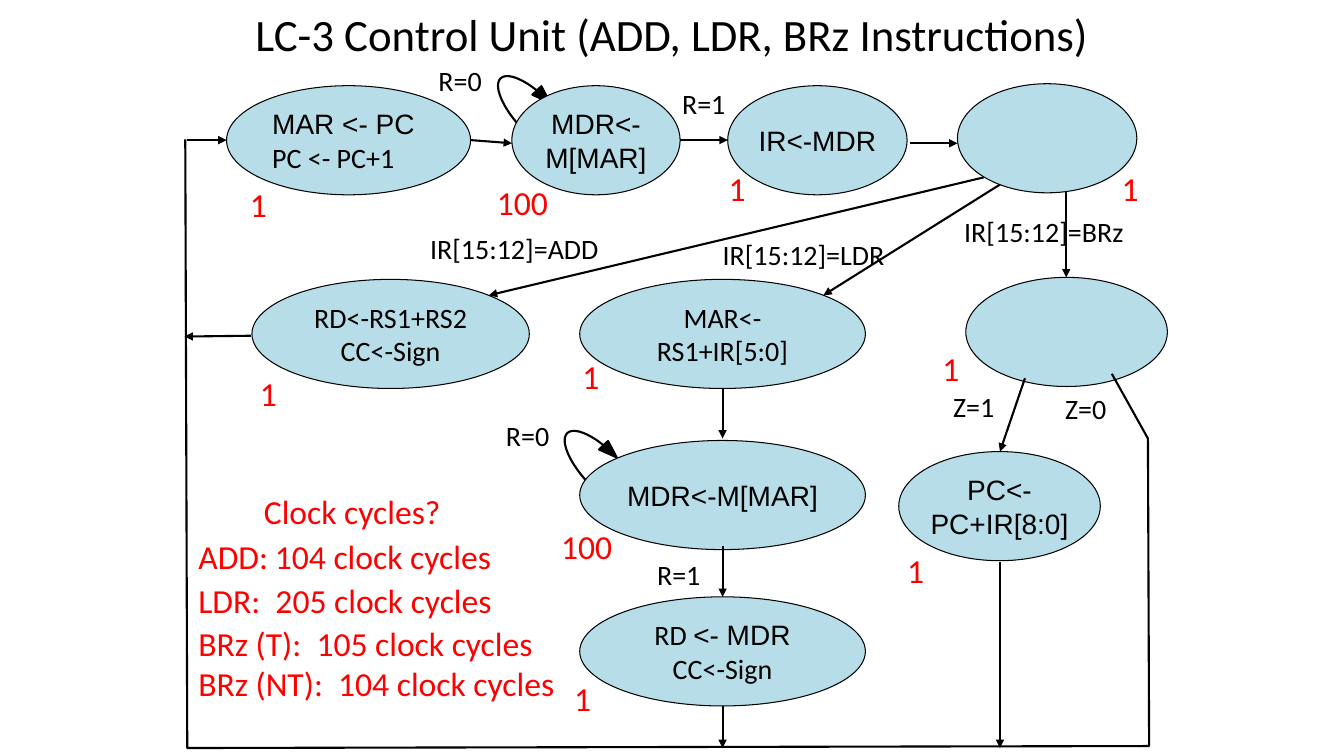
from lxml import etree
from pptx import Presentation
from pptx.dml.color import RGBColor
from pptx.enum.shapes import MSO_CONNECTOR, MSO_SHAPE
from pptx.enum.text import MSO_ANCHOR, MSO_AUTO_SIZE, PP_ALIGN
from pptx.oxml.ns import qn
from pptx.util import Cm, Pt

ELLIPSE, LOOP = MSO_SHAPE.OVAL, MSO_SHAPE.CURVED_LEFT_ARROW
STRAIGHT = MSO_CONNECTOR.STRAIGHT
TOP, MIDDLE = MSO_ANCHOR.TOP, MSO_ANCHOR.MIDDLE
LEFT, CENTER = PP_ALIGN.LEFT, PP_ALIGN.CENTER
GROW = MSO_AUTO_SIZE.SHAPE_TO_FIT_TEXT
SANS, HUMANIST = "Arial", "Calibri"
BLACK, RED, STATE_BLUE = "000000", "FF0000", "B7DEE8"

TITLE = "LC-3 Control Unit (ADD, LDR, BRz Instructions)"
STATE_HEIGHT = 2.75
LDR_LEFT, LDR_WIDTH = 14.61, 7.2
LDR_AXIS = LDR_LEFT + LDR_WIDTH / 2
TAKEN_AXIS = 25.2
RETURN_Y = 18.85

FETCH = (5.71, 2.16, 6.15, [[("MAR <- PC", SANS)], [("PC <- PC+1", HUMANIST)]])
DECODE = (24.13, 2.11, 4.52, [])
STATES = [
    (12.9, 2.16, 4.24, [[("MDR<-M[MAR]", SANS)]]),
    (18.34, 2.16, 4.52, [[("IR<-MDR", SANS)]]),
    (6.35, 7.04, 6.99, [[("RD<-RS1+RS2", HUMANIST)], [("CC<-Sign", HUMANIST)]]),
    (LDR_LEFT, 7.04, LDR_WIDTH, [[("MAR<-RS1+IR[5:0]", HUMANIST)]]),
    (LDR_LEFT, 11.1, LDR_WIDTH, [[("MDR<-M[MAR]", SANS)]]),
    (LDR_LEFT, 15.04, LDR_WIDTH,
     [[("RD ", HUMANIST), ("<- MDR", SANS)], [("CC<-Sign", HUMANIST)]]),
    (24.34, 6.99, 5.08, []),
    (22.65, 11.38, 5.08, [[("PC<-PC+IR[8:0]", SANS)]]),
]
WAIT_LOOPS = [(12.47, 1.83), (14.15, 10.77)]
ARROWS = [
    (11.86, 3.53, 12.9, 3.61),
    (17.15, 3.53, 18.34, 3.53),
    (22.94, 3.61, 24.13, 3.61),
    (4.7, 3.53, 5.71, 3.53),
    (24.79, 4.47, 12.32, 7.44),
    (25.2, 4.65, 20.75, 7.44),
    (26.87, 4.65, 26.87, 6.99),
    (25.83, 9.53, TAKEN_AXIS, 11.38),
    (TAKEN_AXIS, 14.17, TAKEN_AXIS, RETURN_Y),
    (LDR_AXIS, 9.78, LDR_AXIS, 11.05),
    (LDR_AXIS, 13.77, LDR_AXIS, 15.04),
    (LDR_AXIS, 17.78, LDR_AXIS, RETURN_Y),
    (6.32, 8.46, 4.65, 8.48),
]
RETURN_PATH = [(28.02, 9.42), (28.93, 11.05), (28.96, 18.8), (4.72, RETURN_Y), (4.67, 3.51)]
CONDITIONS = [
    ("R=0", 10.8, 1.47, 1.63),
    ("R=1", 16.94, 2.06, 1.63),
    ("R=0", 12.5, 10.41, 1.63),
    ("R=1", 16.31, 13.92, 1.63),
    ("IR[15:12]=ADD", 10.59, 5.72, 4.8),
    ("IR[15:12]=LDR", 17.96, 5.87, 4.62),
    ("IR[15:12]=BRz", 24.05, 5.28, 4.57),
    ("Z=1", 23.77, 9.68, 1.57),
    ("Z=0", 26.59, 9.73, 1.57),
]
SINGLE_CYCLES = [(6.05, 4.52), (6.3, 9.27), (18.11, 4.11), (28.02, 4.11),
                 (14.43, 8.84), (14.22, 16.97), (22.61, 13.72), (23.5, 8.64)]
MEMORY_CYCLES = [(12.27, 4.45), (13.89, 13.13)]
TOTALS = [
    ("Clock cycles?", 6.4, 12.24, 5.21),
    ("ADD:", 4.75, 13.39, 2.29),
    ("104 clock cycles", 6.68, 13.39, 6.22),
    ("LDR:  205 clock cycles", 4.75, 14.48, 8.15),
    ("BRz (T):  105 clock cycles", 4.75, 15.57, 8.99),
    ("BRz (NT):  104 clock cycles", 4.75, 16.59, 9.55),
]

deck = Presentation()
deck.slide_width, deck.slide_height = Cm(33.87), Cm(19.05)
page = deck.slides.add_slide(deck.slide_layouts[6])


def paint(fill, color):
    fill.solid()
    fill.fore_color.rgb = RGBColor.from_string(color)


def outline(shape, width):
    paint(shape.line.fill, BLACK)
    shape.line.width = Pt(width)


def write(frame, lines, size, color=BLACK, align=LEFT):
    for index, spans in enumerate(lines):
        para = frame.add_paragraph() if index else frame.paragraphs[0]
        para.alignment = align
        for text, font in spans:
            span = para.add_run()
            span.text = text
            span.font.name, span.font.size = font, Pt(size)
            paint(span.font.fill, color)


def add_preset(kind, left, top, width, height, color, weight):
    shape = page.shapes.add_shape(kind, Cm(left), Cm(top), Cm(width), Cm(height))
    shape.shadow.inherit = False
    paint(shape.fill, color)
    outline(shape, weight)
    return shape


def add_state(left, top, width, lines, anchor=MIDDLE, align=CENTER, side=0):
    state = add_preset(ELLIPSE, left, top, width, STATE_HEIGHT, STATE_BLUE, 0.75)
    frame = state.text_frame
    frame.vertical_anchor = anchor
    frame.margin_left = frame.margin_right = Cm(side)
    write(frame, lines, 20, align=align)


def add_label(text, left, top, width, size, color):
    height = 1.11 if size == 20 else 1.27
    box = page.shapes.add_textbox(Cm(left), Cm(top), Cm(width), Cm(height))
    box.text_frame.word_wrap = False
    box.text_frame.auto_size = GROW
    write(box.text_frame, [[(text, HUMANIST)]], size, color)


def add_arrow(*ends):
    arrow = page.shapes.add_connector(STRAIGHT, *map(Cm, ends))
    outline(arrow, 1.5)
    etree.SubElement(arrow.line.fill._xPr, qn("a:tailEnd"), type="triangle")
    etree.SubElement(arrow._element.spPr, qn("a:effectLst"))


title_box = page.shapes.add_textbox(Cm(4.24), Cm(-0.2), Cm(25.4), Cm(2.11))
title_box.text_frame.word_wrap = True
title_box.text_frame.vertical_anchor = MIDDLE
write(title_box.text_frame, [[(TITLE, HUMANIST)]], 32, align=CENTER)

for left, top in WAIT_LOOPS:
    loop = add_preset(LOOP, left, top, 1.3, 1.12, BLACK, 1.5)
    loop.rotation = 226.5
    for index, value in enumerate((0, 0.28, 0.4)):
        loop.adjustments[index] = value

add_state(*FETCH, anchor=TOP, align=LEFT, side=0.25)
for state in STATES:
    add_state(*state)
for ends in ARROWS:
    add_arrow(*ends)

points = [(Cm(x), Cm(y)) for x, y in RETURN_PATH]
builder = page.shapes.build_freeform(*points[0])
builder.add_line_segments(points[1:], close=False)
return_line = builder.convert_to_shape()
return_line.shadow.inherit = False
return_line.fill.background()
outline(return_line, 1.5)

add_state(*DECODE)

for label in CONDITIONS:
    add_label(*label, 20, BLACK)
cycle_labels = [("1", x, y, 0.94) for x, y in SINGLE_CYCLES]
cycle_labels += [("100", x, y, 1.8) for x, y in MEMORY_CYCLES]
for label in cycle_labels + TOTALS:
    add_label(*label, 24, RED)

deck.save("out.pptx")
